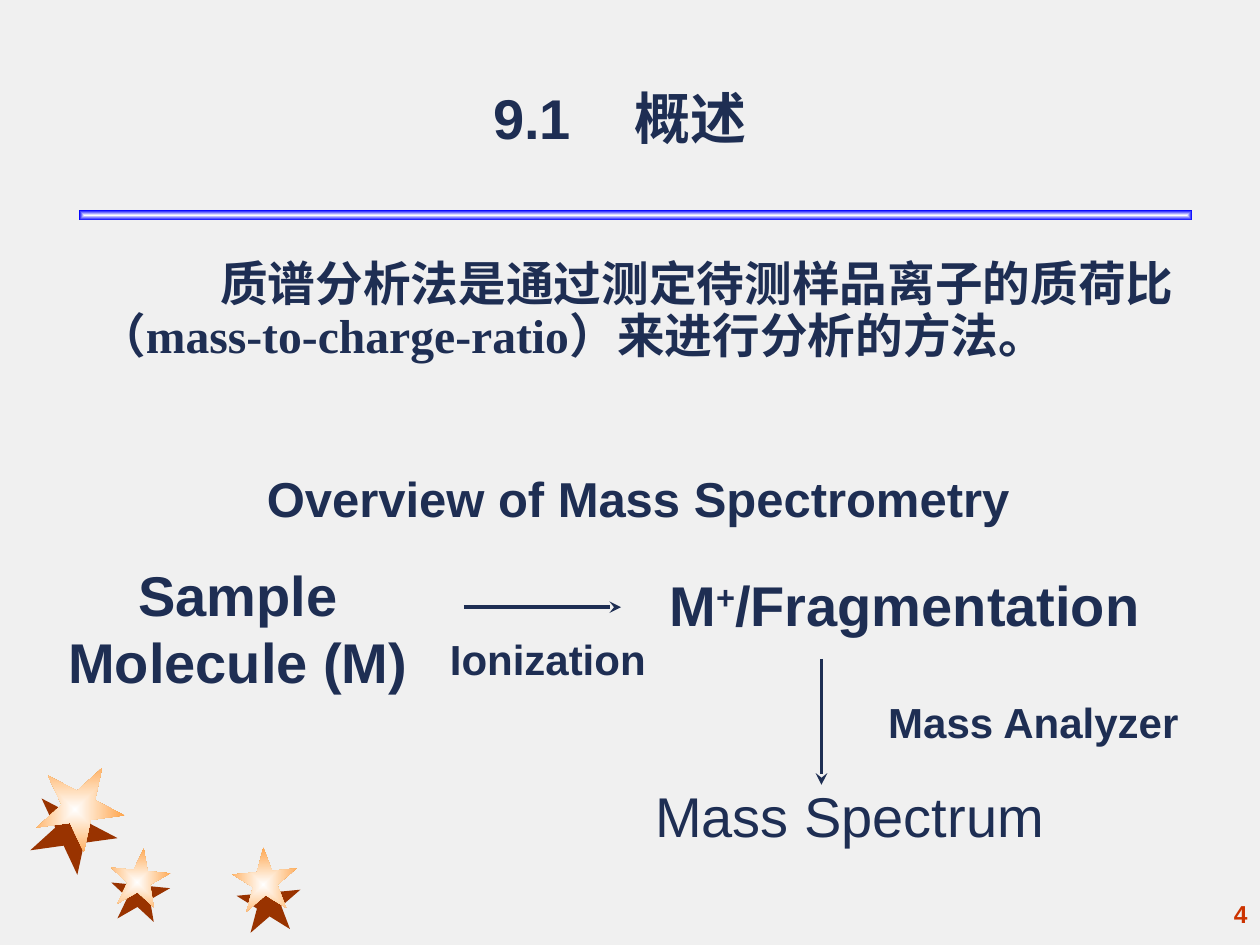
import pptx
import pptx.util
import pptx.dml.color
import pptx.enum.shapes
import pptx.enum.text
import pptx.oxml
import pptx.oxml.ns

Cm, Pt = pptx.util.Cm, pptx.util.Pt
RGB = pptx.dml.color.RGBColor.from_string
Kind = pptx.enum.shapes.MSO_SHAPE
Align = pptx.enum.text.PP_ALIGN
Anchor = pptx.enum.text.MSO_ANCHOR
Fit = pptx.enum.text.MSO_AUTO_SIZE
qn = pptx.oxml.ns.qn
NS = pptx.oxml.ns.nsdecls("a")

HEX = {"page": "F0F0F0", "ink": "1E2E53", "num": "CC3300", "rust": "993300",
       "white": "FFFFFF", "gold": "FF9933", "blue": "0000FF"}
CJK = "Noto Sans CJK SC"


def add_run(para, text, size, font="Arial", color="ink", bold=True):
    run = para.add_run()
    run.text = text
    run.font.size = Pt(size)
    run.font.bold = bold
    run.font.name = font
    run.font.color.rgb = RGB(HEX[color])
    props = run.font._element
    props.append(pptx.oxml.parse_xml(f'<a:ea {NS} typeface="{CJK}"/>'))
    return props


def add_form(kind, box, color, glow=False):
    """Add a borderless shape, plain or glowing white from its centre."""
    form = slide.shapes.add_shape(kind, *map(Cm, box))
    form.shadow.inherit = False
    form.line.fill.background()
    if not glow:
        form.fill.solid()
        form.fill.fore_color.rgb = RGB(HEX[color])
        return form
    form.fill.gradient()
    for stop, pos, name in zip(form.fill.gradient_stops, (0, 1), ("white", color)):
        stop.position = pos
        stop.color.rgb = RGB(HEX[name])
    lin = form._element.spPr.find(".//" + qn("a:lin"))
    lin.getparent().replace(lin, pptx.oxml.parse_xml(
        f'<a:path {NS} path="rect"><a:fillToRect l="50000" t="50000" '
        'r="50000" b="50000"/></a:path>'))
    return form


deck = pptx.Presentation()
deck.slide_width, deck.slide_height = Cm(25.4), Cm(19.05)
slide = deck.slides.add_slide(deck.slide_layouts[5])
slide.background.fill.solid()
slide.background.fill.fore_color.rgb = RGB(HEX["page"])

# Stars: dark ones behind, glowing ones in front
stars = [
    (1.27, 211.9, (4.75, 17.63), (4.67, 17.2)),
    (1.17, 222.9, (2.18, 17.5), (2.18, 17.2)),
    (1.7, 244.9, (0.53, 15.93), (0.66, 15.47)),
]
for glow, color in ((False, "rust"), (True, "gold")):
    for side, turn, back, front in stars:
        spot = front if glow else back
        star = add_form(Kind.STAR_5_POINT, (*spot, side, side), color, glow)
        star.rotation = turn

# Bar under the title
add_form(Kind.RECTANGLE, (1.6, 4.24, 22.43, 0.2), "blue", True)

# Title
title = slide.shapes.title
title.left, title.top, title.width, title.height = map(Cm, (1.7, 1.27, 21.59, 1.9))
title.text_frame.vertical_anchor = Anchor.BOTTOM
title.text_frame.auto_size = Fit.NONE
para = title.text_frame.paragraphs[0]
para.alignment = Align.CENTER
add_run(para, "9.1", 32)
add_run(para, " ", 32).set("spc", "2700")
add_run(para, "概述", 32)

# Text boxes: box, alignment, anchor, wrap, fit, runs
L, C, R = Align.LEFT, Align.CENTER, Align.RIGHT
top, mid = Anchor.TOP, Anchor.MIDDLE
grow, fixed = Fit.SHAPE_TO_FIT_TEXT, Fit.NONE
texts = [
    ((20.12, 17.78, 5.28, 1.27), R, mid, False, fixed, [("4", 14, "Arial", "num")]),
    ((0.76, 5.13, 23.9, 3.84), L, top, True, fixed, [
        ("质谱分析法是通过测定待测样品离子的质荷比（", 27.2, CJK),
        ("mass-to-charge-ratio", 27.2, "Times New Roman"),
        ("）来进行分析的方法。", 27.2, CJK)]),
    ((5.13, 9.14, 16.71, 1.8), L, mid, True, fixed,
     [("Overview of Mass Spectrometry", 28)]),
    ((9.65, 15.62, 14.96, 1.63), C, top, True, grow,
     [("Mass Spectrum", 32, "Arial", "ink", False)]),
    ((17.2, 13.92, 7.26, 1.27), C, top, True, grow, [("Mass Analyzer", 24)]),
    ((7.87, 12.65, 6.35, 1.27), C, top, True, grow, [("Ionization", 24)]),
    ((13.16, 11.38, 10.16, 1.63), C, top, True, grow,
     [("M", 32), ("+", 32), ("/Fragmentation", 32)]),
    ((1.09, 11.18, 7.42, 2.97), C, top, True, grow, [("Sample Molecule (M)", 32)]),
]
for box, align, anchor, wrap, fit, runs in texts:
    frame = slide.shapes.add_textbox(*map(Cm, box)).text_frame
    frame.word_wrap = wrap
    frame.auto_size = fit
    frame.vertical_anchor = anchor
    para = frame.paragraphs[0]
    para.alignment = align
    for args in runs:
        props = add_run(para, *args)
        if args[0] == "+":
            props.set("baseline", "30000")
        if args[1] == 27.2:
            para.line_spacing = 0.9
            para._p.pPr.set("marL", str(Cm(0.97)))
            para._p.pPr.set("indent", str(Cm(2.46)))

# Arrows between the steps
for ends in ((9.35, 12.24, 12.52, 12.24), (16.56, 13.28, 16.56, 15.82)):
    arrow = slide.shapes.add_connector(
        pptx.enum.shapes.MSO_CONNECTOR.STRAIGHT, *map(Cm, ends))
    arrow.line.width = Pt(2.25)
    arrow.line.color.rgb = RGB(HEX["ink"])
    arrow.line._get_or_add_ln().append(
        pptx.oxml.parse_xml(f'<a:tailEnd {NS} type="stealth"/>'))
    arrow._element.spPr.append(pptx.oxml.parse_xml(f"<a:effectLst {NS}/>"))

deck.save("out.pptx")
